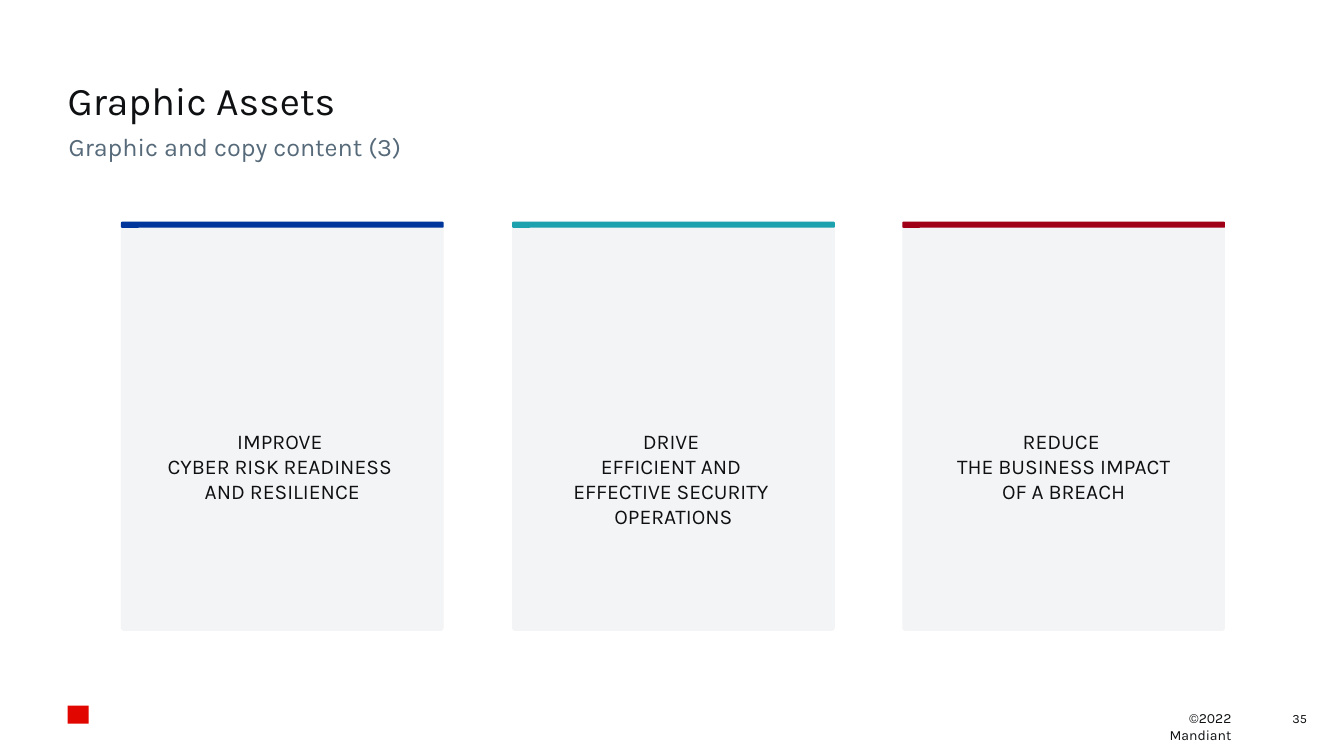
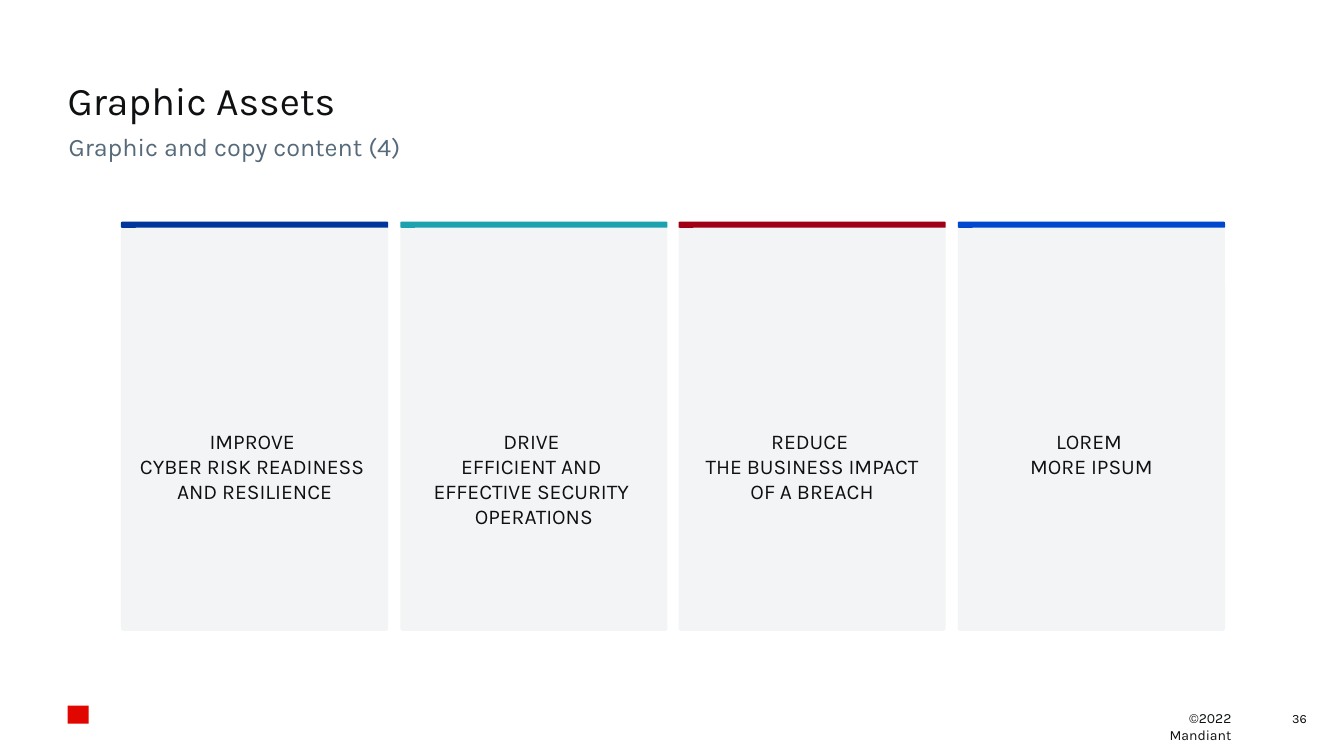
from dataclasses import dataclass

from pptx import Presentation
from pptx.dml.color import RGBColor
from pptx.enum.shapes import MSO_SHAPE as SHAPE
from pptx.enum.text import MSO_ANCHOR as ANCHOR, PP_ALIGN as ALIGN
from pptx.util import Pt

PX = 9144  # 100 px to the inch


@dataclass(frozen=True)
class Theme:
    font: str = "Karla"
    ink: str = "0E1012"
    muted: str = "566A7A"
    card: str = "F3F4F5"
    mark: str = "E10600"
    accents: tuple = ("00369B", "1CA2AE", "A00015", "0048CE")
    title: int = 28
    subtitle: int = 18
    body: int = 15
    footer: int = 10
    number: int = 9


T = Theme()

CARDS = [
    "IMPROVE \nCYBER RISK READINESS \nAND RESILIENCE",
    "DRIVE \nEFFICIENT AND \nEFFECTIVE SECURITY \nOPERATIONS",
    "REDUCE \nTHE BUSINESS IMPACT\nOF A BREACH",
    "LOREM \nMORE IPSUM",
]
SLIDES = [("Graphic and copy content (3)", 3, 320),
          ("Graphic and copy content (4)", 4, 265)]
FIRST_NUMBER = 35
CARDS_LEFT, CARDS_RIGHT, CARDS_TOP, CARD_HEIGHT = 120, 1215, 220, 406


def add_text(s, text, box, size, color=T.ink, align=ALIGN.LEFT,
             anchor=ANCHOR.TOP, insets=(10, 5, 10, 5), spacing=1.0):
    """Add a wrapped text box; insets are left, top, right, bottom in px."""
    tf = s.shapes.add_textbox(*(v * PX for v in box)).text_frame
    tf.word_wrap = True
    tf.vertical_anchor = anchor
    (tf.margin_left, tf.margin_top,
     tf.margin_right, tf.margin_bottom) = (v * PX for v in insets)
    p = tf.paragraphs[0]
    p.alignment = align
    p.line_spacing = spacing
    for i, line in enumerate(text.split("\n")):
        if i:
            p.add_line_break()
        r = p.add_run()
        r.text = line
        r.font.name = T.font
        r.font.size = Pt(size)
        r.font.color.rgb = RGBColor.from_string(color)


def add_block(s, kind, box, color, radius=None):
    sp = s.shapes.add_shape(kind, *(v * PX for v in box))
    sp.shadow.inherit = False
    sp.fill.solid()
    sp.fill.fore_color.rgb = RGBColor.from_string(color)
    sp.line.fill.background()
    if radius is not None:
        sp.adjustments[0] = radius


prs = Presentation()
prs.slide_width = 1333 * PX
prs.slide_height = 750 * PX

for number, (subtitle, count, width) in enumerate(SLIDES, FIRST_NUMBER):
    s = prs.slides.add_slide(prs.slide_layouts[6])

    add_block(s, SHAPE.RECTANGLE, (67, 700, 21, 18), T.mark)
    add_text(s, "©2022 Mandiant", (1109, 699, 122, 27), T.footer,
             align=ALIGN.RIGHT)
    add_text(s, str(number), (1255, 693, 51, 40), T.number,
             align=ALIGN.RIGHT, anchor=ANCHOR.MIDDLE)

    add_text(s, "Graphic Assets", (67, 23, 1199, 100), T.title,
             anchor=ANCHOR.BOTTOM, insets=(0, 0, 0, 0), spacing=0.9)
    add_text(s, subtitle, (67, 134, 1199, 34), T.subtitle, T.muted,
             insets=(1, 0, 10, 10), spacing=0.9)

    pitch = (CARDS_RIGHT - CARDS_LEFT - width) / (count - 1)
    for i, (text, accent) in enumerate(zip(CARDS[:count], T.accents)):
        left = round(CARDS_LEFT + i * pitch)
        add_block(s, SHAPE.ROUNDED_RECTANGLE,
                  (left, CARDS_TOP, width, CARD_HEIGHT), T.card, 0.01)
        add_block(s, SHAPE.ROUNDED_RECTANGLE,
                  (left, CARDS_TOP, width, 6), accent)
        add_text(s, text, (left, 420, width, 133), T.body, align=ALIGN.CENTER)

prs.save("out.pptx")
